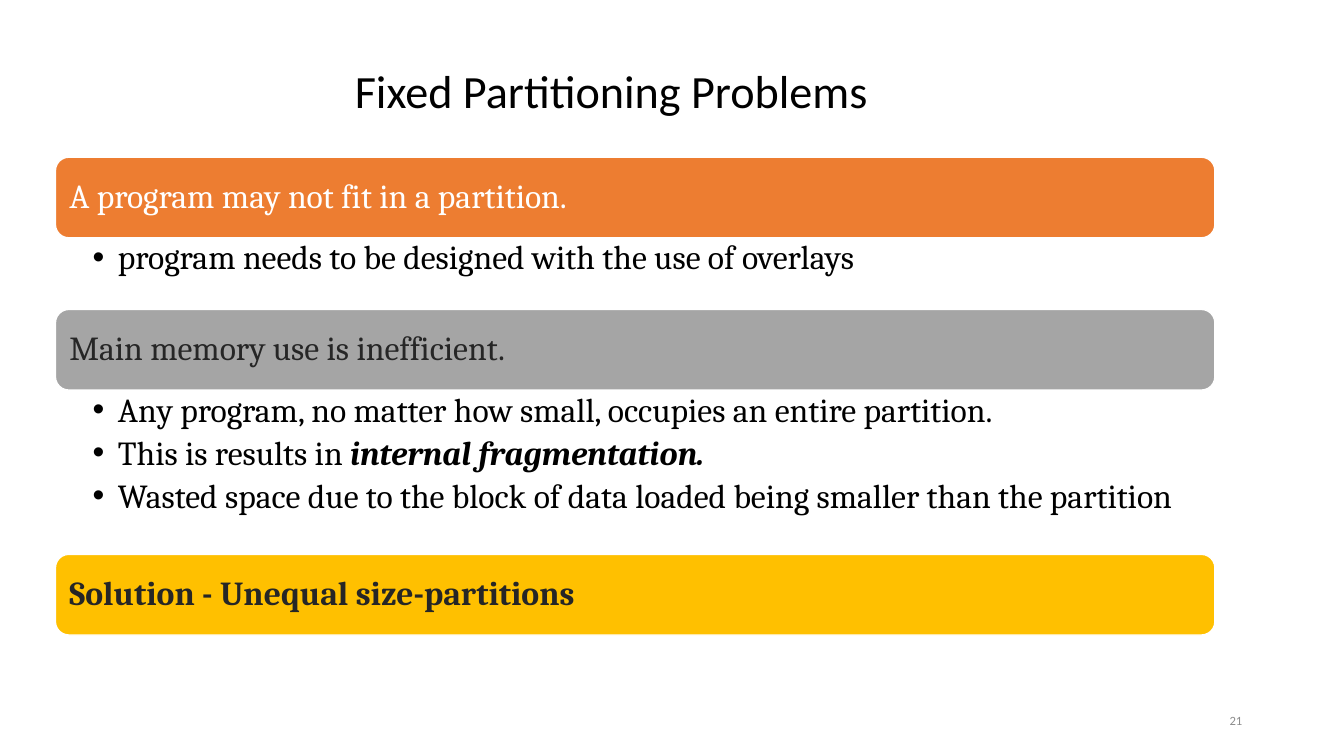
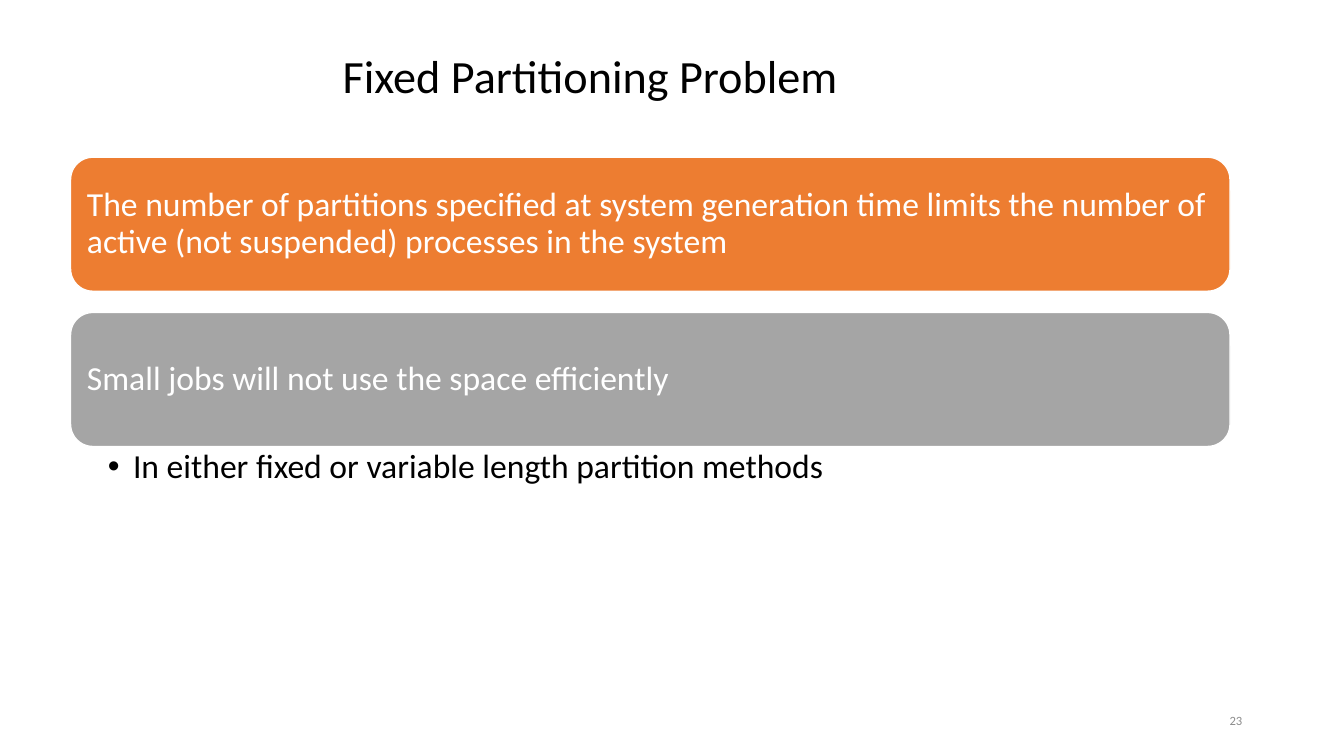
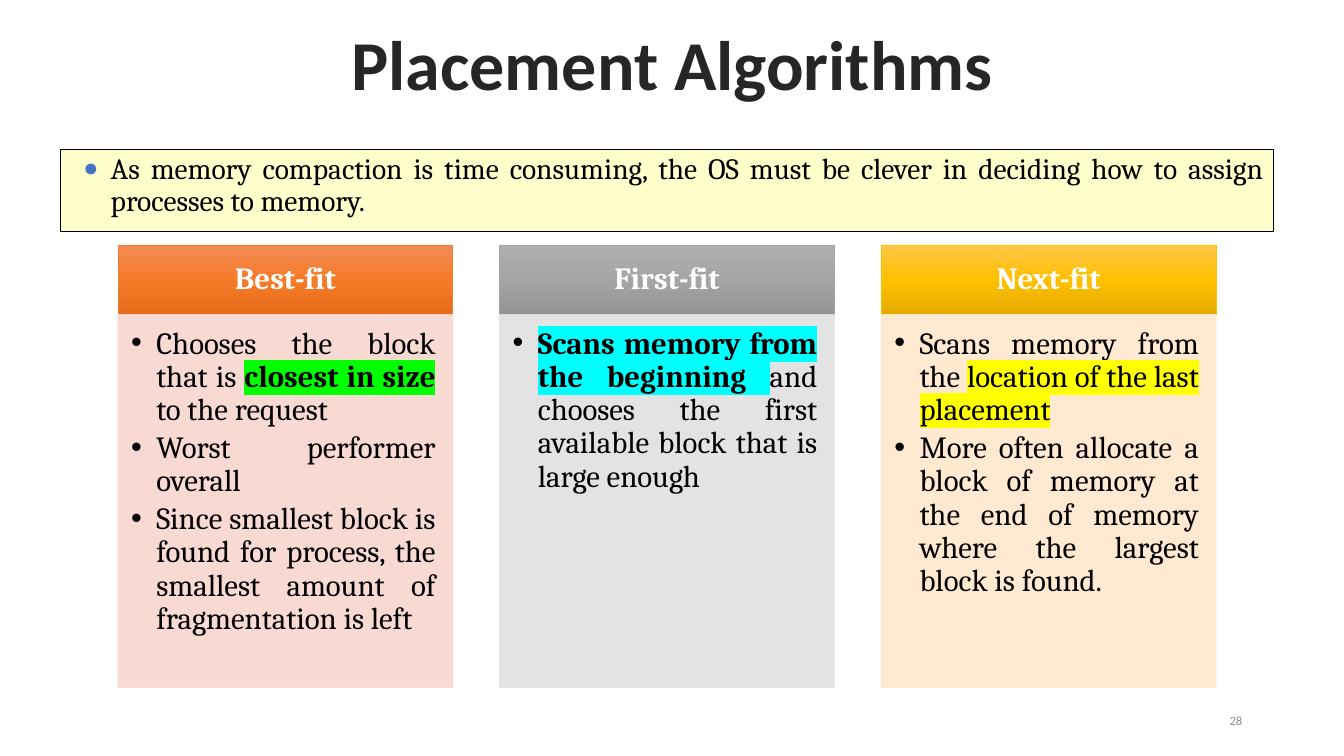
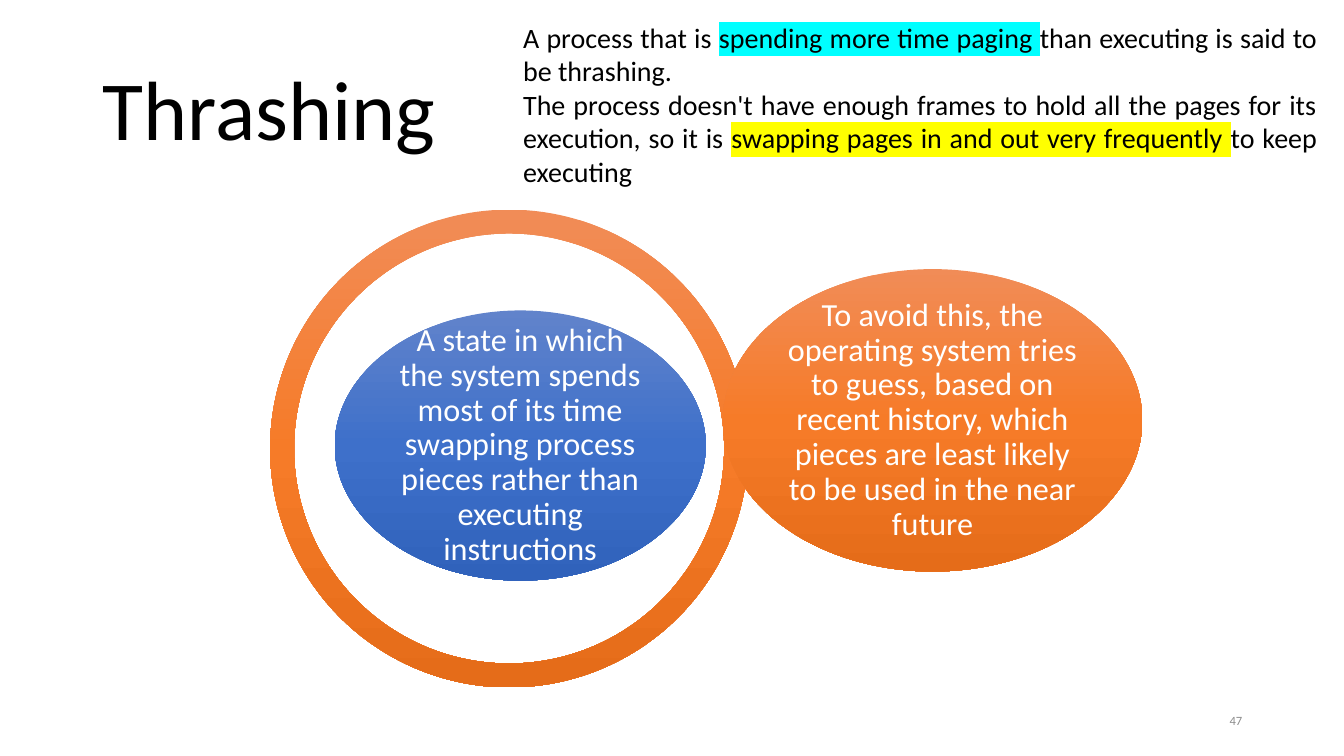
import copy

import pptx
import pptx.dml.color
import pptx.enum.shapes
import pptx.enum.text
import pptx.oxml.ns
import pptx.util
from lxml import etree

Inches = pptx.util.Inches
Pt = pptx.util.Pt
SHAPES = pptx.enum.shapes.MSO_SHAPE
ALIGN = pptx.enum.text.PP_ALIGN
ANCHOR = pptx.enum.text.MSO_ANCHOR
qn = pptx.oxml.ns.qn

COLORS = {
    "black": "000000", "white": "FFFFFF", "dark": "262626", "number": "8C8C8C",
    "orange": "ED7D31", "gray": "A5A5A5", "gold": "FFC000", "blue": "4472C4",
    "cream": "FFFFCC", "light_orange": "F8D7CE", "light_gray": "E1E1E1",
    "light_gold": "FFE8CC", "green": "00FF00", "cyan": "00FFFF", "yellow": "FFFF00",
}
GRADIENTS = {
    "orange": ("F18C57", "F67B28", "E56C19"),
    "gray": ("AFAFAF", "A5A5A5", "939393"),
    "gold": ("FFC64B", "FFC000", "E3AB00"),
    "blue": ("6183CB", "3E70CA", "3062BB"),
}


def rgb(name):
    return pptx.dml.color.RGBColor.from_string(COLORS[name])


class Deck:
    plain_insets = (0.1, 0.05, 0.1, 0.05)

    def __init__(self):
        self.deck = pptx.Presentation()
        self.deck.slide_width = Inches(13.33)
        self.deck.slide_height = Inches(7.5)
        self.page = None

    def new_page(self, number):
        self.page = self.deck.slides.add_slide(self.deck.slide_layouts[6])
        self.text((9.42, 6.95, 3, 0.4), [number], 9, color="number",
                  align=ALIGN.RIGHT, anchor=ANCHOR.MIDDLE, spacing=1)

    def set_text(self, shape, paragraphs, size, font="Calibri", color="black", bold=None,
                 align=ALIGN.LEFT, anchor=ANCHOR.TOP, insets=plain_insets, spacing=0.9,
                 after=0, bullet=None):
        frame = shape.text_frame
        frame.word_wrap = True
        frame.vertical_anchor = anchor
        (frame.margin_left, frame.margin_top,
         frame.margin_right, frame.margin_bottom) = map(Inches, insets)
        for index, spans in enumerate(paragraphs):
            para = frame.add_paragraph() if index else frame.paragraphs[0]
            para.alignment = align
            para.line_spacing = spacing
            para.space_after = Pt(round(size * after, 1))
            if bullet is not None:
                self.bullet(para, **bullet)
            para.font.name = font
            para.font.size = Pt(size)
            para.font.color.rgb = rgb(color)
            para.font.bold = bold
            for span in [spans] if isinstance(spans, str) else spans:
                self.span(para, *([span] if isinstance(span, str) else span))

    def span(self, para, text, bold=None, italic=None, highlight=None):
        run = para.add_run()
        run.text = text
        run.font.bold = bold
        run.font.italic = italic
        if highlight:
            marker = etree.SubElement(run.font._element, qn("a:highlight"))
            etree.SubElement(marker, qn("a:srgbClr"), val=COLORS[highlight])

    def bullet(self, para, symbol="•", left=0.25, hanging=0.25, color=None, percent=None):
        properties = para._p.get_or_add_pPr()
        properties.set("marL", str(Inches(left)))
        properties.set("indent", str(-Inches(hanging)))
        if color:
            tint = etree.SubElement(properties, qn("a:buClr"))
            etree.SubElement(tint, qn("a:srgbClr"), val=COLORS[color])
        if percent:
            etree.SubElement(properties, qn("a:buSzPct"), val=str(percent * 1000))
        etree.SubElement(properties, qn("a:buFont"), typeface="Arial")
        etree.SubElement(properties, qn("a:buChar"), char=symbol)

    def text(self, place, paragraphs, size, **style):
        box = self.page.shapes.add_textbox(*map(Inches, place))
        self.set_text(box, paragraphs, size, **style)

    def title(self, place, text, size, **style):
        self.text(place, [text], size, anchor=ANCHOR.MIDDLE, **style)

    def shape(self, kind, place, fill=None, gradient=None, line=None, width=1, opacity=None):
        shape = self.page.shapes.add_shape(kind, *map(Inches, place))
        shape.shadow.inherit = False
        if gradient:
            self.gradient(shape, GRADIENTS[gradient])
        else:
            shape.fill.solid()
            shape.fill.fore_color.rgb = rgb(fill)
        if line:
            shape.line.color.rgb = rgb(line)
            shape.line.width = Pt(width)
        else:
            shape.line.fill.background()
        if opacity:
            for tint in shape._element.spPr.iter(qn("a:srgbClr")):
                etree.SubElement(tint, qn("a:alpha"), val=str(opacity * 1000))
        return shape

    def gradient(self, shape, colors):
        shape.fill.gradient()
        shape.fill.gradient_angle = 270
        stops = shape._element.spPr.find(".//" + qn("a:gsLst"))
        stops.append(copy.deepcopy(stops[0]))
        for index, (stop, color) in enumerate(zip(shape.fill.gradient_stops, colors)):
            stop.position = index / 2
            stop.color.rgb = pptx.dml.color.RGBColor.from_string(color)

    def band(self, place, text, fill, **style):
        band = self.shape(SHAPES.ROUNDED_RECTANGLE, place, fill, line="white")
        self.set_text(band, [text], 24, anchor=ANCHOR.MIDDLE, insets=(0.1,) * 4,
                      after=0.35, **style)

    def points(self, place, paragraphs, **style):
        self.text(place, paragraphs, 24, insets=(0.37, 0.03, 0.19, 0.03),
                  after=0.2, bullet={}, **style)

    def column(self, left, width, heading, paragraphs, color):
        header = self.shape(SHAPES.RECTANGLE, (left, 2.43, width, 0.69),
                            gradient=color, line=color, width=0.5)
        self.set_text(header, [heading], 22, font="Cambria", color="white", bold=True,
                      align=ALIGN.CENTER, anchor=ANCHOR.MIDDLE,
                      insets=(0.17, 0.1, 0.17, 0.1), after=0.35)
        pale = "light_" + color
        body = self.shape(SHAPES.RECTANGLE, (left, 3.12, width, 3.7), pale,
                          line=pale, width=0.5, opacity=90)
        self.set_text(body, paragraphs, 22, font="Cambria", align=ALIGN.JUSTIFY,
                      insets=(0.13, 0.13, 0.17, 0.19), after=0.15, bullet={})

    def oval(self, place, text, gradient):
        oval = self.shape(SHAPES.OVAL, place, gradient=gradient)
        self.set_text(oval, [text], 23, color="white", align=ALIGN.CENTER,
                      anchor=ANCHOR.MIDDLE, insets=(0.03,) * 4, after=0.35)


def partitioning_problems(deck):
    deck.new_page("21")
    deck.title((3.42, 0.3, 7.75, 1.25), "Fixed Partitioning Problems", 33)
    sections = [
        ("A program may not fit in a partition.", "orange", "white", None, 0.71,
         ["program needs to be designed with the use of overlays"]),
        ("Main memory use is inefficient.", "gray", "dark", None, 1.63,
         ["Any program, no matter how small, occupies an entire partition.",
          ["This is results in ", ("internal fragmentation.", True, True)],
          "Wasted space due to the block of data loaded being smaller than the partition"]),
        ("Solution - Unequal size-partitions", "gold", "dark", True, 0, []),
    ]
    top = 1.56
    for heading, fill, color, bold, height, paragraphs in sections:
        deck.band((0.55, top, 11.5, 0.8), heading, fill, font="Cambria", color=color, bold=bold)
        top += 0.8
        if paragraphs:
            deck.points((0.55, top, 11.5, height), paragraphs, font="Cambria")
        top += height


def partitioning_limits(deck):
    deck.new_page("23")
    deck.title((3.3, 0.15, 7.75, 1.25), "Fixed Partitioning Problem", 33)
    deck.band((0.7, 1.56, 11.5, 1.33),
              "The number of partitions specified at system generation time limits "
              "the number of active (not suspended) processes in the system",
              "orange", color="white")
    deck.band((0.7, 3.1, 11.5, 1.33), "Small jobs will not use the space efficiently",
              "gray", color="white")
    deck.points((0.7, 4.43, 11.5, 1.18),
                ["In either fixed or variable length partition methods"])


def placement_algorithms(deck):
    deck.new_page("28")
    deck.title((3.36, 0.15, 6.62, 0.94), "Placement Algorithms", 50, color="dark",
               bold=True, align=ALIGN.CENTER, spacing=1)
    notice = deck.shape(SHAPES.RECTANGLE, (0.6, 1.48, 12.03, 0.82), "cream",
                        line="black", width=0.75)
    deck.set_text(notice,
                  ["As memory compaction is time consuming, the OS must be clever in "
                   "deciding how to assign processes to memory."],
                  21, font="Cambria", align=ALIGN.JUSTIFY,
                  bullet={"symbol": "●", "left": 0.4, "hanging": 0.27,
                          "color": "blue", "percent": 85})
    columns = [
        ("Best-fit", "orange",
         [["Chooses the block that is ", ("closest in size", True, None, "green"),
           " to the request"],
          "Worst performer overall",
          "Since smallest block is found for process, the smallest amount of "
          "fragmentation is left"]),
        ("First-fit", "gray",
         [[("Scans memory from the beginning ", True, None, "cyan"),
           "and chooses the first available block that is large enough"]]),
        ("Next-fit", "gold",
         [["Scans memory from the ",
           ("location of the last placement", None, None, "yellow")],
          "More often allocate a block of memory at the end of memory where the "
          "largest block is found."]),
    ]
    first, last, width = 1.17, 8.74, 3.32
    pitch = (last - first) / (len(columns) - 1)
    for index, (heading, color, paragraphs) in enumerate(columns):
        deck.column(first + index * pitch, width, heading, paragraphs, color)


def thrashing(deck):
    deck.new_page("47")
    deck.title((0.92, 0.4, 11.5, 1.45), "Thrashing", 60)
    ring = deck.shape(SHAPES.BLOCK_ARC, (2.68, 2.08, 4.74, 4.74), gradient="orange")
    for index, value in enumerate((0.07, 215.93, 0.05)):
        ring.adjustments[index] = value
    deck.oval((3.32, 3.08, 3.68, 2.68),
              "A state in which the system spends most of its time swapping process "
              "pieces rather than executing instructions", "blue")
    deck.oval((7.17, 2.67, 4.16, 3),
              "To avoid this, the operating system tries to guess, based on recent "
              "history, which pieces are least likely to be used in the near future",
              "orange")
    deck.text((5.09, 0.15, 8.07, 1.78),
              [["A process that is ", ("spending more time paging ", None, None, "cyan"),
                "than executing is said to be thrashing."],
               ["The process doesn't have enough frames to hold all the pages for its "
                "execution, so it is ",
                ("swapping pages in and out very frequently ", None, None, "yellow"),
                "to keep executing"]],
              20, align=ALIGN.JUSTIFY, spacing=1)


def main():
    deck = Deck()
    partitioning_problems(deck)
    partitioning_limits(deck)
    placement_algorithms(deck)
    thrashing(deck)
    deck.deck.save("out.pptx")


if __name__ == "__main__":
    main()
